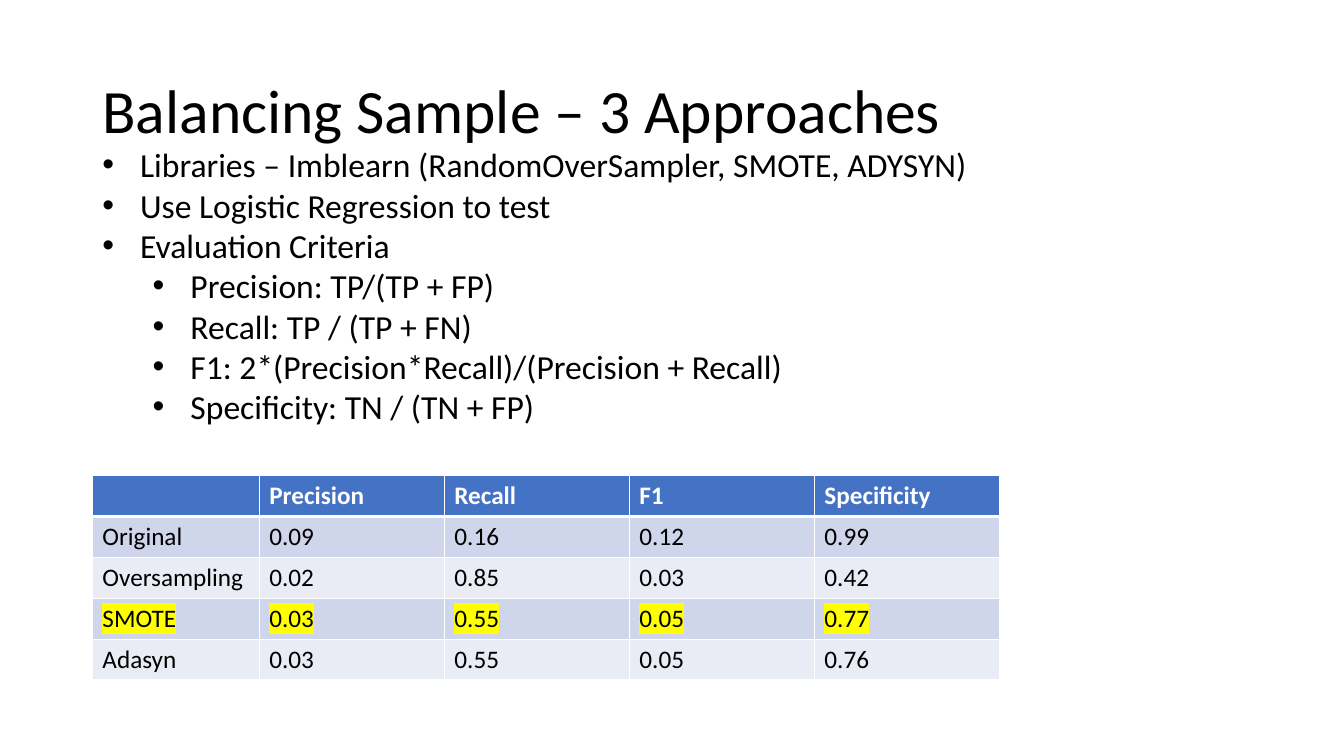
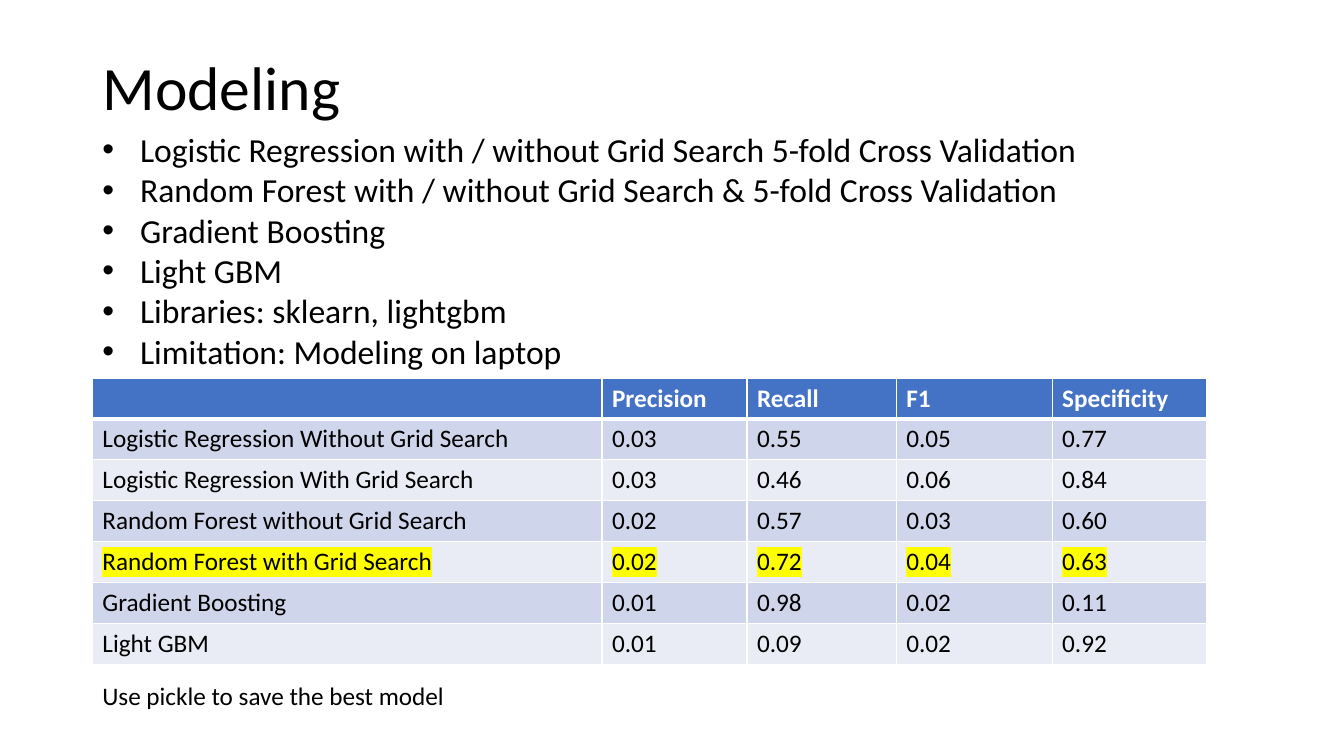
from lxml.etree import SubElement
from pptx import Presentation
from pptx.dml.color import RGBColor
from pptx.enum.text import MSO_ANCHOR as Anchor, MSO_AUTO_SIZE as AutoSize, PP_ALIGN as Align
from pptx.oxml.ns import qn
from pptx.util import Pt

COLORS = {
    "text": "000000",
    "header": "4472C4",
    "header_text": "FFFFFF",
    "band_dark": "CFD5EA",
    "band_light": "E9EBF5",
    "border": "FFFFFF",
    "highlight": "FFFF00",
}
FONT = "Calibri"
LEFT = 66
ROW_HEIGHT = 29.2
METRICS = ["", "Precision", "Recall", "F1", "Specificity"]


def style(paragraph, size, color="text", bold=False):
    font = paragraph.font
    font.name, font.size, font.bold = FONT, Pt(size), bold
    font.color.rgb = RGBColor.from_string(COLORS[color])


def add_color(parent, tag, color):
    SubElement(SubElement(parent, qn(tag)), qn("a:srgbClr"), val=COLORS[color])


def add_title(slide, text, top, height):
    title = slide.shapes.title
    title.left, title.top, title.width, title.height = Pt(LEFT), Pt(top), Pt(828), Pt(height)
    frame = title.text_frame
    frame.text = text
    frame.auto_size = AutoSize.NONE
    frame.vertical_anchor = Anchor.MIDDLE
    paragraph = frame.paragraphs[0]
    paragraph.alignment = Align.LEFT
    paragraph.line_spacing = 0.9
    style(paragraph, 44)


def add_bullets(slide, items, top, width, height):
    """Place (level, text) items as a bulleted list."""
    box = slide.shapes.add_textbox(Pt(LEFT), Pt(top), Pt(width), Pt(height))
    frame = box.text_frame
    frame.word_wrap = True
    for index, (level, text) in enumerate(items):
        paragraph = frame.paragraphs[0] if index == 0 else frame.add_paragraph()
        paragraph.text = text
        paragraph.level = level
        properties = paragraph._p.get_or_add_pPr()
        properties.set("marL", str(Pt(27 + 36 * level)))
        properties.set("indent", str(Pt(-27)))
        SubElement(properties, qn("a:buFont"), typeface="Arial")
        SubElement(properties, qn("a:buChar"), char="•")
        style(paragraph, 24)


def add_borders(cell, bottom=1):
    properties = cell._tc.get_or_add_tcPr()
    for side, width in (("L", 1), ("R", 1), ("T", 1), ("B", bottom)):
        line = SubElement(properties, qn(f"a:ln{side}"), w=str(Pt(width)))
        add_color(line, "a:solidFill", "border")


def add_score_table(slide, rows, best, top, widths):
    """Place the scores under the metric names and highlight the best row."""
    rows = [METRICS] + rows
    table = slide.shapes.add_table(
        len(rows), len(widths), Pt(LEFT), Pt(top), Pt(sum(widths)), Pt(ROW_HEIGHT * len(rows))
    ).table
    for column, width in zip(table.columns, widths):
        column.width = Pt(width)
    for row_index, values in enumerate(rows):
        is_header = row_index == 0
        fill = "header" if is_header else ("band_light", "band_dark")[row_index % 2]
        table.rows[row_index].height = Pt(ROW_HEIGHT)
        for column_index, value in enumerate(values):
            cell = table.cell(row_index, column_index)
            cell.text = value
            paragraph = cell.text_frame.paragraphs[0]
            style(paragraph, 18, "header_text" if is_header else "text", is_header)
            add_borders(cell, bottom=3 if is_header else 1)
            cell.fill.solid()
            cell.fill.fore_color.rgb = RGBColor.from_string(COLORS[fill])
            if values[0] == best:
                add_color(paragraph.runs[0]._r.get_or_add_rPr(), "a:highlight", "highlight")


def add_note(slide, text, top, width, height):
    box = slide.shapes.add_textbox(Pt(LEFT), Pt(top), Pt(width), Pt(height))
    box.text_frame.word_wrap = False
    box.text_frame.text = text
    style(box.text_frame.paragraphs[0], 18)


def build_balancing(slide):
    add_title(slide, "Balancing Sample – 3 Approaches", 28.8, 104.4)
    add_bullets(slide, [
        (0, "Libraries – Imblearn (RandomOverSampler, SMOTE, ADYSYN)"),
        (0, "Use Logistic Regression to test"),
        (0, "Evaluation Criteria"),
        (1, "Precision: TP/(TP + FP)"),
        (1, "Recall: TP / (TP + FN)"),
        (1, "F1: 2*(Precision*Recall)/(Precision + Recall)"),
        (1, "Specificity: TN / (TN + FP)"),
    ], 99.4, 786, 240)
    add_score_table(slide, [
        ["Original", "0.09", "0.16", "0.12", "0.99"],
        ["Oversampling", "0.02", "0.85", "0.03", "0.42"],
        ["SMOTE", "0.03", "0.55", "0.05", "0.77"],
        ["Adasyn", "0.03", "0.55", "0.05", "0.76"],
    ], "SMOTE", 339.8, [119.2] + [132.2] * 4)


def build_modeling(slide):
    add_title(slide, "Modeling", 28.8, 71.3)
    add_bullets(slide, [(0, text) for text in (
        "Logistic Regression with / without Grid Search 5-fold Cross Validation",
        "Random Forest with / without Grid Search & 5-fold Cross Validation",
        "Gradient Boosting",
        "Light GBM",
        "Libraries: sklearn, lightgbm",
        "Limitation: Modeling on laptop",
    )], 88.6, 834, 181.4)
    add_score_table(slide, [
        ["Logistic Regression Without Grid Search", "0.03", "0.55", "0.05", "0.77"],
        ["Logistic Regression With Grid Search", "0.03", "0.46", "0.06", "0.84"],
        ["Random Forest without Grid Search", "0.02", "0.57", "0.03", "0.60"],
        ["Random Forest with Grid Search", "0.02", "0.72", "0.04", "0.63"],
        ["Gradient Boosting", "0.01", "0.98", "0.02", "0.11"],
        ["Light GBM", "0.01", "0.09", "0.02", "0.92"],
    ], "Random Forest with Grid Search", 270, [364, 103.6, 106.6, 111.4, 110])
    add_note(slide, "Use pickle to save the best model", 482.4, 261.4, 28.8)


def main():
    presentation = Presentation()
    presentation.slide_width, presentation.slide_height = Pt(960), Pt(540)
    title_only = presentation.slide_layouts[5]
    for build in (build_balancing, build_modeling):
        build(presentation.slides.add_slide(title_only))
    presentation.save("out.pptx")


if __name__ == "__main__":
    main()
